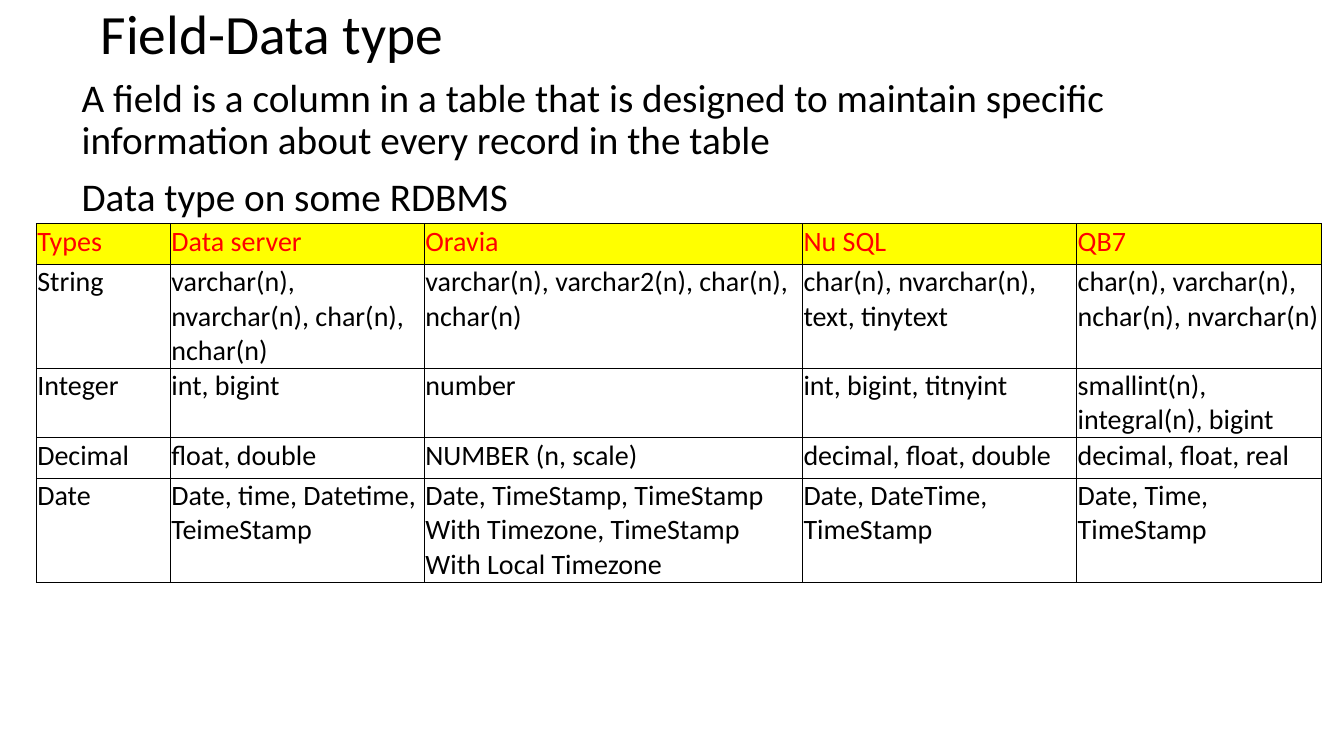
from lxml import etree
from pptx import Presentation
from pptx import util as u
from pptx.dml import color
from pptx.enum import text
from pptx.oxml import ns

COLORS = {"ink": "000000", "header_text": "FF0000", "header_fill": "FFFF00"}
FONT = "Calibri"

COLUMN_WIDTHS = [1.33, 2.52, 3.75, 2.72, 2.43]
ROW_HEIGHTS = [0.4, 1.03, 0.69, 0.4, 1.03]
DATA_TYPES = [
    ["Types", "Data server", "Oravia", "Nu SQL", "QB7"],
    ["String", "varchar(n), nvarchar(n), char(n), nchar(n)",
     "varchar(n), varchar2(n), char(n), nchar(n)",
     "char(n), nvarchar(n), text, tinytext",
     "char(n), varchar(n), nchar(n), nvarchar(n)"],
    ["Integer", "int, bigint", "number", "int, bigint, titnyint",
     "smallint(n), integral(n), bigint"],
    ["Decimal", "float, double", "NUMBER (n, scale)",
     "decimal, float, double", "decimal, float, real"],
    ["Date", "Date, time, Datetime, TeimeStamp",
     "Date, TimeStamp, TimeStamp With Timezone, TimeStamp With Local Timezone",
     "Date, DateTime, TimeStamp", "Date, Time, TimeStamp"],
]


def rgb(name):
    return color.RGBColor.from_string(COLORS[name])


def write(paragraph, words, size, ink="ink", line_spacing=1.0, space_before=0):
    """Put formatted text into a paragraph."""
    paragraph.alignment = text.PP_ALIGN.LEFT
    paragraph.line_spacing = line_spacing
    paragraph.space_before = u.Pt(space_before)
    run = paragraph.add_run()
    run.text = words
    run.font.name = FONT
    run.font.size = u.Pt(size)
    run.font.color.rgb = rgb(ink)


class SlideBuilder:
    def __init__(self, presentation):
        self.slide = presentation.slides.add_slide(presentation.slide_layouts[1])

    def place(self, shape, left, top, width, height, anchor):
        shape.left, shape.top = u.Inches(left), u.Inches(top)
        shape.width, shape.height = u.Inches(width), u.Inches(height)
        frame = shape.text_frame
        frame.word_wrap = True
        frame.auto_size = text.MSO_AUTO_SIZE.NONE
        frame.vertical_anchor = anchor
        return frame

    def title(self, words, *box):
        frame = self.place(self.slide.shapes.title, *box, text.MSO_ANCHOR.MIDDLE)
        write(frame.paragraphs[0], words, 39.6, line_spacing=0.9)

    def body(self, lines, *box):
        frame = self.place(self.slide.placeholders[1], *box, text.MSO_ANCHOR.TOP)
        for index, line in enumerate(lines):
            paragraph = frame.add_paragraph() if index else frame.paragraphs[0]
            write(paragraph, line, 28, line_spacing=0.9, space_before=10)
            properties = paragraph._p.get_or_add_pPr()
            properties.set("marL", str(u.Inches(0.04)))
            properties.set("indent", "0")
            etree.SubElement(properties, ns.qn("a:buNone"))

    def borders(self, cell):
        properties = cell._tc.get_or_add_tcPr()
        for side in ("lnL", "lnR", "lnT", "lnB"):
            line = etree.SubElement(properties, ns.qn(f"a:{side}"), w=str(u.Pt(0.5)))
            fill = etree.SubElement(line, ns.qn("a:solidFill"))
            etree.SubElement(fill, ns.qn("a:srgbClr"), val=COLORS["ink"])

    def table(self, rows, left, top):
        frame = self.slide.shapes.add_table(
            len(rows), len(COLUMN_WIDTHS), u.Inches(left), u.Inches(top),
            u.Inches(sum(COLUMN_WIDTHS)), u.Inches(sum(ROW_HEIGHTS)))
        table = frame.table
        table.horz_banding = False
        for column, width in zip(table.columns, COLUMN_WIDTHS):
            column.width = u.Inches(width)
        for row, height in zip(table.rows, ROW_HEIGHTS):
            row.height = u.Inches(height)
        for row_index, row in enumerate(rows):
            for column_index, words in enumerate(row):
                self.cell(table.cell(row_index, column_index), words, row_index == 0)

    def cell(self, cell, words, is_header):
        cell.margin_left = cell.margin_right = cell.margin_top = u.Inches(0.01)
        cell.margin_bottom = 0
        self.borders(cell)
        if is_header:
            cell.fill.solid()
            cell.fill.fore_color.rgb = rgb("header_fill")
        else:
            cell.fill.background()
        write(cell.text_frame.paragraphs[0], words, 20,
              ink="header_text" if is_header else "ink")


def main():
    presentation = Presentation()
    presentation.slide_width = u.Inches(13.33)
    presentation.slide_height = u.Inches(7.5)
    builder = SlideBuilder(presentation)

    # Heading and introduction
    builder.title("Field-Data type", 0.9, 0, 12.08, 0.73)
    builder.body(
        ["A field is a column in a table that is designed to maintain specific "
         "information about every record in the table",
         "Data type on some RDBMS"],
        0.67, 0.73, 11.99, 5.94)

    # Data types by database system
    builder.table(DATA_TYPES, 0.36, 2.22)

    presentation.save("out.pptx")


if __name__ == "__main__":
    main()
